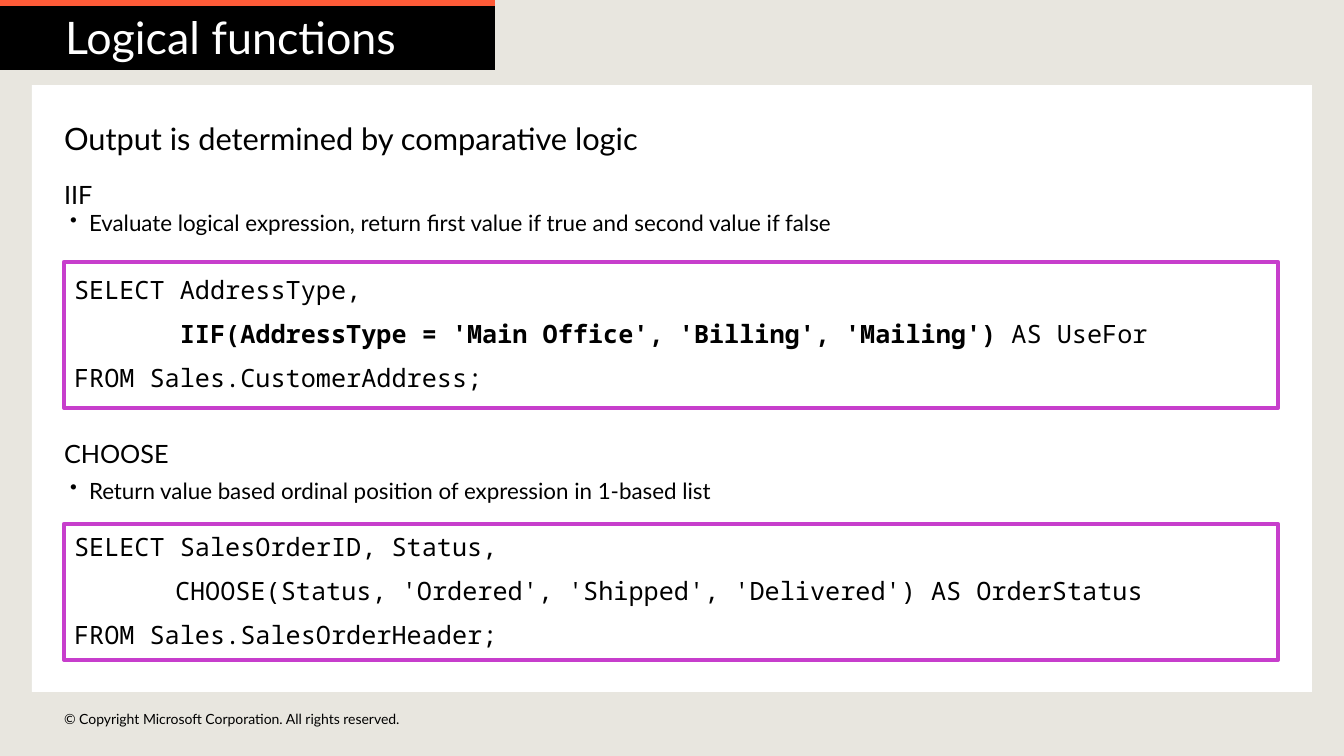
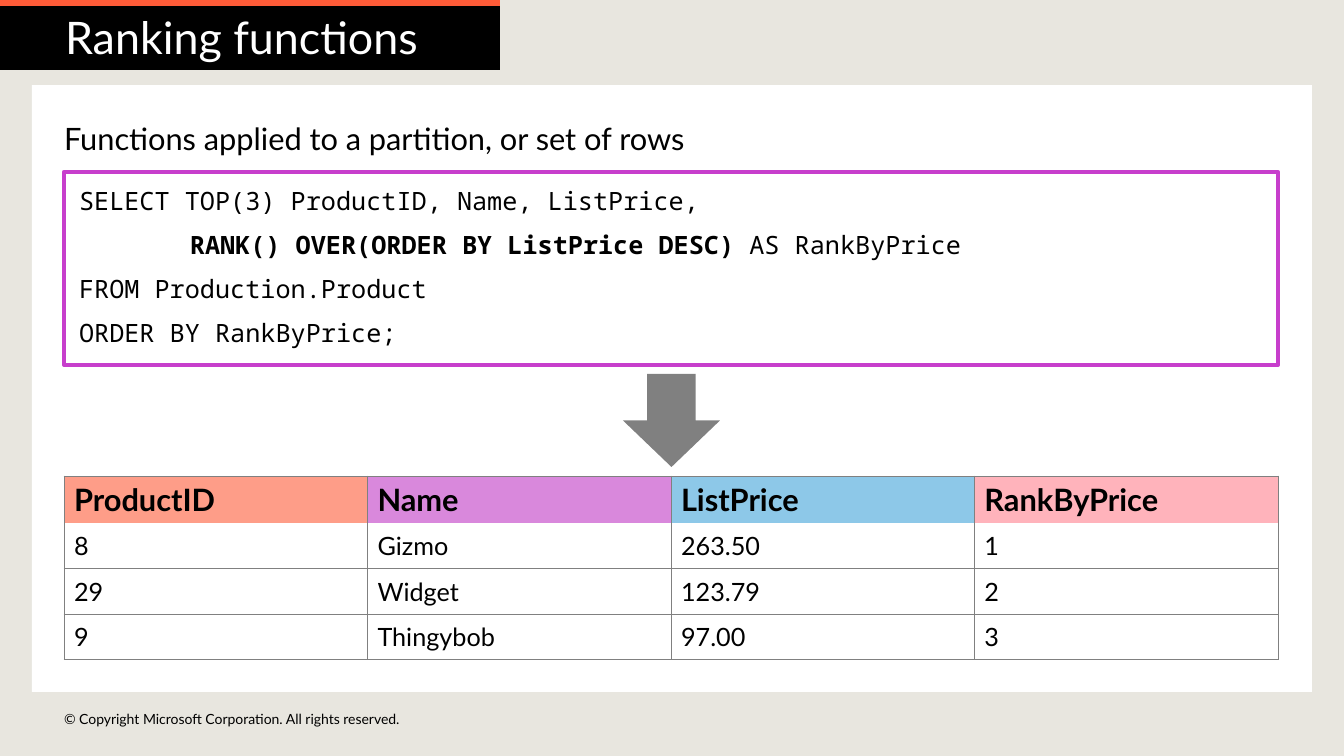
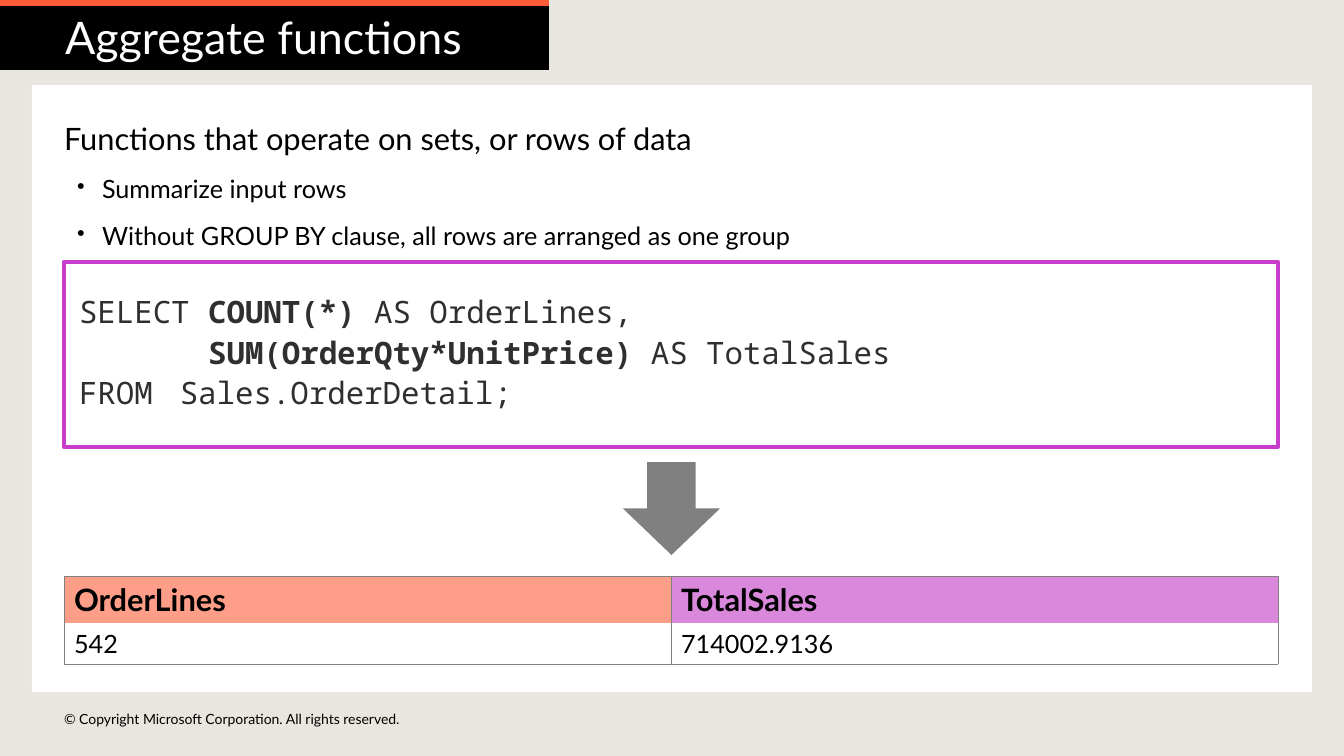
from dataclasses import dataclass

from lxml import etree
from pptx import Presentation
from pptx.dml.color import RGBColor
from pptx.enum.shapes import MSO_SHAPE
from pptx.enum.text import MSO_ANCHOR, MSO_AUTO_SIZE, PP_ALIGN
from pptx.oxml import parse_xml
from pptx.oxml.ns import nsdecls, qn
from pptx.util import Emu, Pt

RECT, ARROW = MSO_SHAPE.RECTANGLE, MSO_SHAPE.DOWN_ARROW
TOP, MIDDLE = MSO_ANCHOR.TOP, MSO_ANCHOR.MIDDLE
LEFT = PP_ALIGN.LEFT
FIXED = MSO_AUTO_SIZE.NONE

SCALE = 914400 / 100.8  # EMU in one px
WIDE, HIGH = 1344, 756
EDGE, SPAN = 64, 1214  # left edge and width of the content


@dataclass(frozen=True)
class Theme:
    page: str = "E8E6DF"
    white: str = "FFFFFF"
    black: str = "000000"
    soft: str = "2F2F2F"
    accent: str = "FE5B38"
    frame: str = "C73ECC"
    gray: str = "808080"
    heads: tuple = ("FE9D88", "D988DC", "8DC8E8", "FFB3BB")
    font: str = "Lato"
    mono: str = "Noto Sans Mono"
    title: int = 32
    lead: int = 22
    body: int = 18
    small: int = 16
    note: int = 10


THEME = Theme()


def px(num):
    return Emu(round(num * SCALE))


def rgb(code):
    return RGBColor.from_string(code)


# Text
def setup(frame, inset=(0, 0, 0, 0), anchor=TOP, wrap=True):
    frame.auto_size = FIXED
    frame.word_wrap = wrap
    frame.vertical_anchor = anchor
    (frame.margin_left, frame.margin_top,
     frame.margin_right, frame.margin_bottom) = map(px, inset)


def write(frame, text, size=THEME.body, font=THEME.font, color=THEME.black,
          bold=False, before=0, after=0, line=1.0, indent=(0, 0),
          bullet=False, tab=None):
    """Add a paragraph; in a tuple of texts every second one is bold."""
    para = frame.paragraphs[0]
    if para.runs:
        para = frame.add_paragraph()
    props = para._p.get_or_add_pPr()
    margin, hang = indent
    props.set("marL", str(px(margin)))
    props.set("indent", str(px(hang)))
    if bullet:
        etree.SubElement(props, qn("a:buSzPct")).set("val", "90000")
        etree.SubElement(props, qn("a:buChar")).set("char", "•")
    if tab:
        stops = etree.SubElement(props, qn("a:tabLst"))
        stop = etree.SubElement(stops, qn("a:tab"))
        stop.set("pos", str(px(tab)))
        stop.set("algn", "l")
    para.alignment = LEFT
    para.line_spacing = line
    para.space_before, para.space_after = Pt(before), Pt(after)
    parts = text if isinstance(text, tuple) else (text,)
    for num, part in enumerate(parts):
        run = para.add_run()
        run.text = part
        run.font.name, run.font.size = font, Pt(size)
        run.font.color.rgb = rgb(color)
        run.font.bold = bold or num % 2 == 1


def add_text(slide, x, y, w, h, anchor=TOP):
    frame = slide.shapes.add_textbox(*map(px, (x, y, w, h))).text_frame
    setup(frame, anchor=anchor)
    return frame


# Shapes
def add_shape(slide, kind, x, y, w, h, fill, line=None):
    shape = slide.shapes.add_shape(kind, *map(px, (x, y, w, h)))
    shape.shadow.inherit = False
    shape.fill.solid()
    shape.fill.fore_color.rgb = rgb(fill)
    if line:
        shape.line.color.rgb = rgb(line)
        shape.line.width = Pt(3)
    else:
        shape.line.fill.background()
    return shape


def add_code(slide, y, h, pad=15):
    box = add_shape(slide, RECT, EDGE, y, SPAN, h, THEME.white, THEME.frame)
    setup(box.text_frame, (pad, 10, pad, 10), MIDDLE)
    return box.text_frame


def write_code(frame, lines):
    for num, text in enumerate(lines):
        write(frame, text, font=THEME.mono, line=0.9,
              before=6 if num else 0, after=6)


def add_arrow(slide, y):
    add_shape(slide, ARROW, 623, y, 97, 93, THEME.gray)


# Table
def add_border(cell, sides):
    props = cell._tc.get_or_add_tcPr()
    for side in "LRTB":
        line = etree.SubElement(props, qn("a:ln" + side))
        line.set("w", str(Pt(0.5)))
        if side in sides:
            fill = etree.SubElement(line, qn("a:solidFill"))
            etree.SubElement(fill, qn("a:srgbClr")).set("val", THEME.gray)
        else:
            etree.SubElement(line, qn("a:noFill"))


def add_table(slide, y, rows, step, head=47):
    count = len(rows[0])
    high = head + step * (len(rows) - 1)
    table = slide.shapes.add_table(
        len(rows), count, *map(px, (EDGE, y, SPAN, high))).table
    table.horz_banding = False
    for col in table.columns:
        col.width = px(SPAN / count)
    for i, row in enumerate(rows):
        top = i == 0
        table.rows[i].height = px(head if top else step)
        for j, text in enumerate(row):
            cell = table.cell(i, j)
            # No rule between the head and the first row
            add_border(cell, "LRT" if top else "LRB" if i == 1 else "LRTB")
            cell.fill.solid()
            cell.fill.fore_color.rgb = rgb(
                THEME.heads[j] if top else THEME.white)
            cell.vertical_anchor = MIDDLE
            write(cell.text_frame, text, bold=top,
                  size=THEME.lead if top else THEME.body)


# Shared parts
def dress(slide):
    """Give the layout of this slide its background, panel and footer."""
    layout = slide.slide_layout
    for holder in list(layout.placeholders):
        if holder.placeholder_format.idx:
            holder.element.getparent().remove(holder.element)
    layout.background.fill.solid()
    layout.background.fill.fore_color.rgb = rgb(THEME.page)
    panel = add_shape(slide, RECT, 32, 85, 1280, 607, THEME.white)
    note = slide.shapes.add_textbox(*map(px, (EDGE, 708, 458, 22)))
    setup(note.text_frame, anchor=MIDDLE)
    write(note.text_frame,
          "© Copyright Microsoft Corporation. All rights reserved.",
          size=THEME.note)
    for shape in (panel, note):
        layout.shapes.element.append(shape.element)


def add_title(slide, text, width):
    title = slide.shapes.title
    title.left, title.top, title.width, title.height = map(
        px, (0, 0, width, 70))
    stops = "".join(
        f'<a:gs pos="{pos}"><a:srgbClr val="{color}"/></a:gs>'
        for pos, color in ((0, THEME.black), (92000, THEME.black),
                           (92000, THEME.accent)))
    title.element.spPr.append(parse_xml(
        f'<a:gradFill {nsdecls("a")} rotWithShape="1"><a:gsLst>{stops}'
        '</a:gsLst><a:lin ang="16200000" scaled="0"/></a:gradFill>'))
    setup(title.text_frame, (65, 10, 65, 5), wrap=False)
    write(title.text_frame, text, size=THEME.title, color=THEME.white)


def add_lead(slide, text):
    frame = add_text(slide, EDGE, 120, SPAN, 132)
    write(frame, text, size=THEME.lead, after=12)
    return frame


# Slides
def logic(slide):
    add_title(slide, "Logical functions", 495)
    point = {"size": THEME.small, "indent": (25, -19), "bullet": True}
    lead = add_lead(slide, "Output is determined by comparative logic")
    write(lead, "IIF", before=4)
    write(lead, "Evaluate logical expression, return first value if true "
          "and second value if false", **point)
    write_code(add_code(slide, 262, 146, 10), [
        "SELECT AddressType,",
        ("       ", "IIF(AddressType = 'Main Office', 'Billing', 'Mailing') ",
         "AS UseFor"),
        "FROM Sales.CustomerAddress;"])

    choose = add_text(slide, EDGE, 438, SPAN, 66)
    write(choose, "CHOOSE", after=6)
    write(choose, "Return value based ordinal position of expression "
          "in 1-based list", after=6, **point)
    code = add_code(slide, 524, 136, 10)
    form = {"font": THEME.mono, "line": 0.9, "after": 6, "tab": 50}
    write(code, "SELECT SalesOrderID, Status,", **form)
    write(code, "CHOOSE(Status, 'Ordered', 'Shipped', 'Delivered')\t"
          "AS OrderStatus", before=6, indent=(101, 0), **form)
    write(code, "FROM Sales.SalesOrderHeader;", before=6, **form)


def ranking(slide):
    add_title(slide, "Ranking functions", 500)
    add_lead(slide, "Functions applied to a partition, or set of rows")
    write_code(add_code(slide, 172, 193), [
        "SELECT TOP(3) ProductID, Name, ListPrice,",
        ("\t    ", "RANK() OVER(ORDER BY ListPrice DESC) ",
         "AS RankByPrice"),
        "FROM Production.Product",
        "ORDER BY RankByPrice;"])
    add_arrow(slide, 374)
    add_table(slide, 476, [
        ("ProductID", "Name", "ListPrice", "RankByPrice"),
        ("8", "Gizmo", "263.50", "1"),
        ("29", "Widget", "123.79", "2"),
        ("9", "Thingybob", "97.00", "3")], 45.5)


def totals(slide):
    add_title(slide, "Aggregate functions", 549)
    lead = add_lead(slide, "Functions that operate on sets, or rows of data")
    for text in ("Summarize input rows",
                 "Without GROUP BY clause, all rows are arranged "
                 "as one group"):
        write(lead, text, after=12, indent=(38, -25), bullet=True)
    code = add_code(slide, 262, 185)
    for text in (("SELECT ", "COUNT(*) ", "AS OrderLines,"),
                 ("       ", "SUM(OrderQty*UnitPrice) ", "AS TotalSales"),
                 "FROM\tSales.OrderDetail;"):
        write(code, text, size=THEME.lead, font=THEME.mono,
              color=THEME.soft, line=0.87, after=6)
    add_arrow(slide, 462)
    add_table(slide, 576, [("OrderLines", "TotalSales"),
                           ("542", "714002.9136")], 41)


def main():
    deck = Presentation()
    deck.slide_width, deck.slide_height = px(WIDE), px(HIGH)
    layout = deck.slide_layouts[5]  # title only
    slides = [deck.slides.add_slide(layout) for _ in range(3)]
    dress(slides[0])
    for slide, build in zip(slides, (logic, ranking, totals)):
        build(slide)
    deck.save("out.pptx")


if __name__ == "__main__":
    main()
